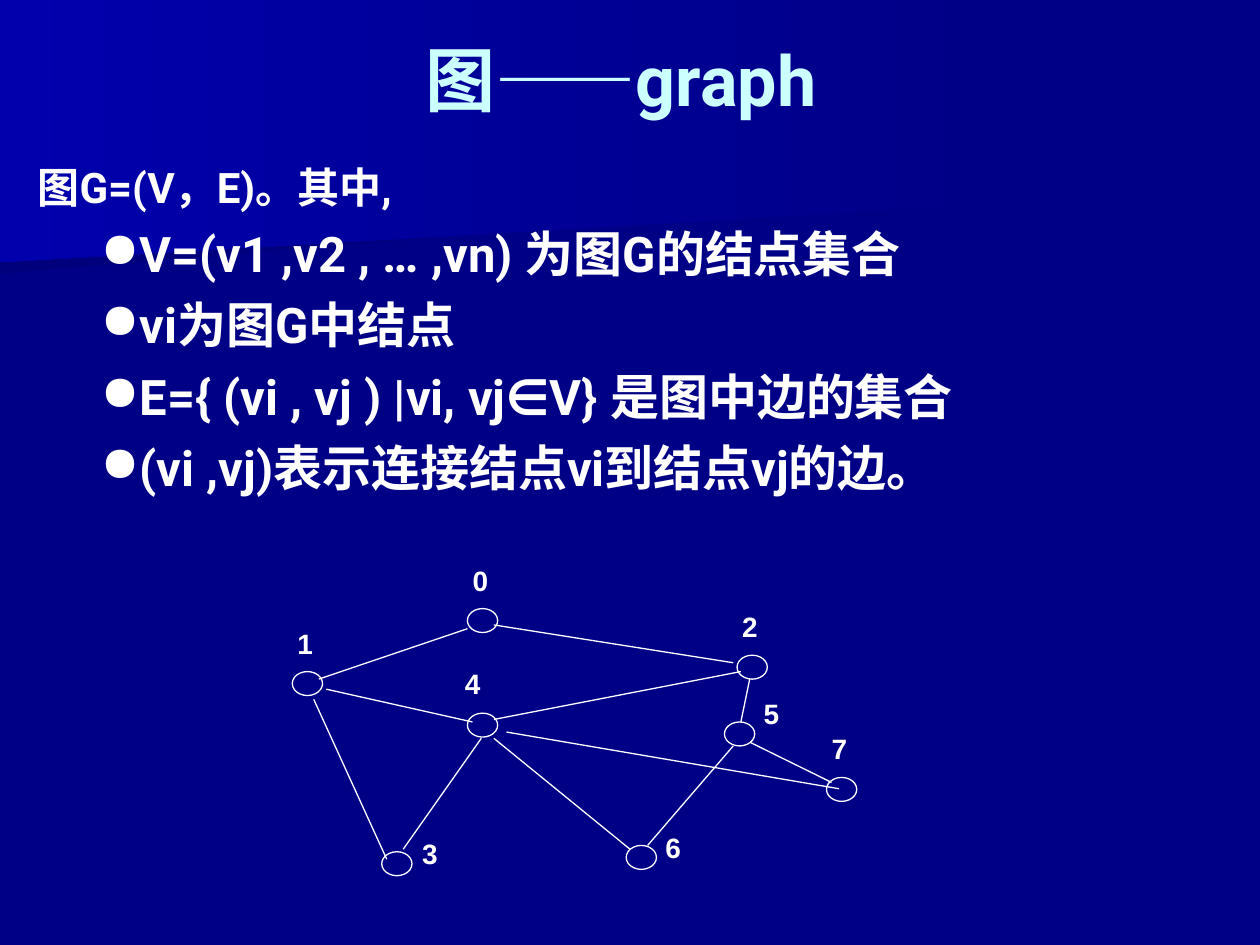
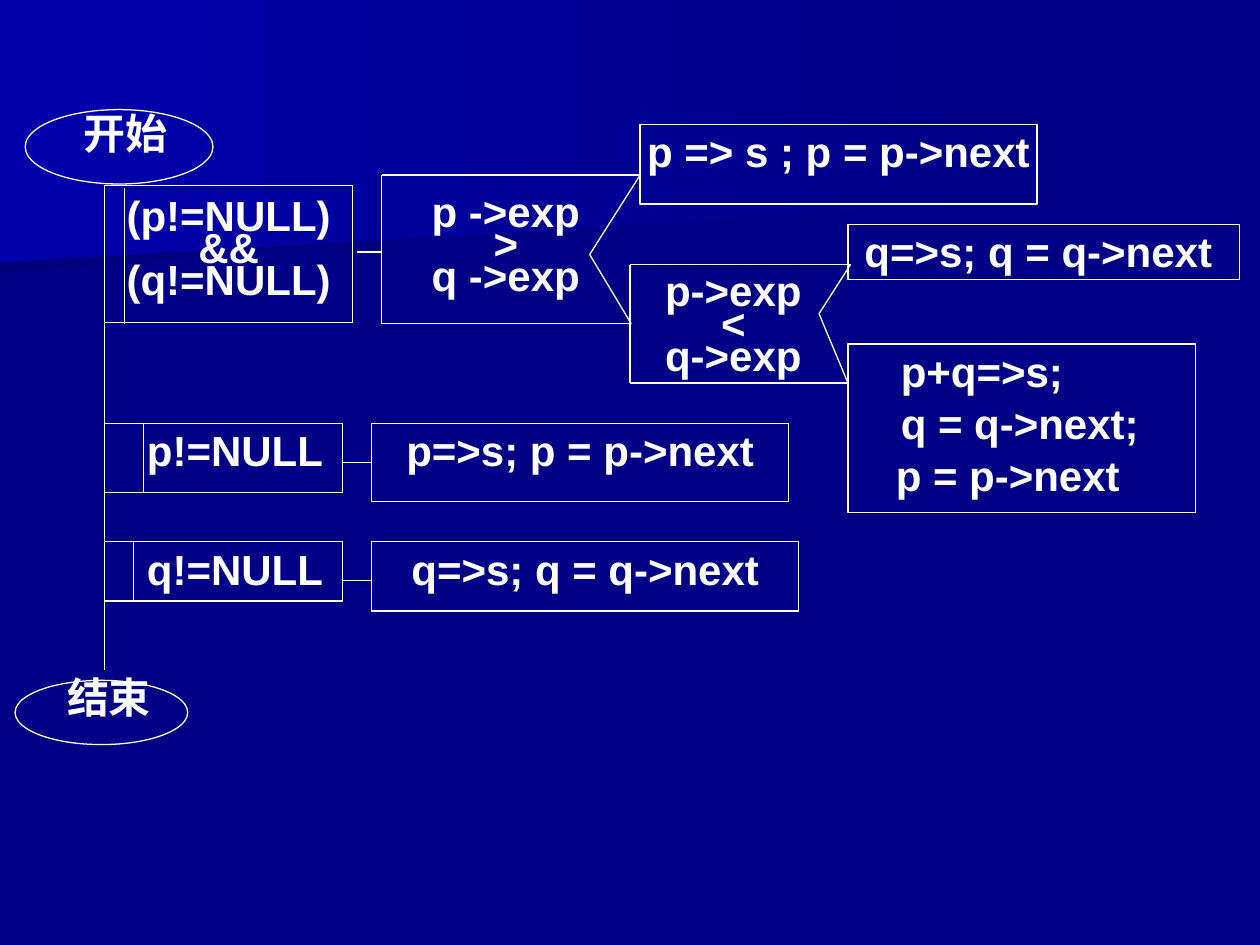
from dataclasses import dataclass

from lxml.etree import SubElement
from pptx import Presentation
from pptx.dml.color import RGBColor
from pptx.enum.shapes import MSO_CONNECTOR, MSO_SHAPE
from pptx.enum.text import MSO_ANCHOR, PP_ALIGN
from pptx.oxml.ns import qn
from pptx.slide import Slide
from pptx.text.text import _Paragraph as Paragraph
from pptx.util import Emu, Pt

PX = 9144
NAVY = RGBColor(0x00, 0x00, 0x86)
DARK_NAVY = RGBColor(0x00, 0x00, 0x7D)
ROYAL = RGBColor(0x00, 0x00, 0xAC)
WHITE = RGBColor(0xFF, 0xFF, 0xFF)
PALE_CYAN = RGBColor(0xCC, 0xFF, 0xFF)
NODE_WIDTH, NODE_HEIGHT = 24, 19
LABEL_WIDTH, LABEL_HEIGHT = 61, 43

Point = tuple[int, int]
Segment = tuple[int, int, int, int]


@dataclass(frozen=True)
class Band:
    points: tuple[Point, ...]
    left_color: RGBColor


@dataclass(frozen=True)
class TextStyle:
    size: int = 24
    font: str = "Arial"
    color: RGBColor = WHITE
    align: PP_ALIGN = PP_ALIGN.CENTER
    anchor: MSO_ANCHOR = MSO_ANCHOR.TOP
    spacing: float | None = None
    inset_x: int = 1
    inset_y: int = 1


@dataclass(frozen=True)
class Block:
    left: int
    top: int
    width: int
    height: int
    lines: tuple[str, ...]
    style: TextStyle = TextStyle()
    outlined: bool = True
    pad_left: int = 0
    pad_right: int = 0


@dataclass(frozen=True)
class Node:
    label: str
    left: int
    top: int
    label_dx: int = 3
    label_dy: int = -37


@dataclass(frozen=True)
class Branch:
    left: int
    top: int
    bottom: int
    upper_right: int
    lower_right: int
    notch: Point


BANDS = (
    Band(((778, 153), (0, 217), (0, 101), (779, 101), (778, 128)), DARK_NAVY),
    Band(((792, 162), (0, 208), (0, 0), (792, 0)), ROYAL),
)

PLAIN = TextStyle()
TIGHT = TextStyle(spacing=0.64)
TIGHT_MIDDLE = TextStyle(spacing=0.64, anchor=MSO_ANCHOR.MIDDLE)
LEFT = TextStyle(align=PP_ALIGN.LEFT)
NODE_LABEL = TextStyle(size=16, align=PP_ALIGN.LEFT)
TITLE = TextStyle(40, "Roboto", PALE_CYAN, anchor=MSO_ANCHOR.MIDDLE, inset_x=10, inset_y=5)
BODY = TextStyle(24, "Roboto", align=PP_ALIGN.LEFT, inset_x=10, inset_y=5)

GRAPH_TITLE = Block(43, 0, 900, 125, ("图——graph",), TITLE, False)
DEFINITION = Block(
    20, 123, 945, 331,
    (
        "图G=(V，E)。其中,",
        "V=(v1 ,v2 , … ,vn) 为图G的结点集合",
        "vi为图G中结点",
        "E={ (vi , vj ) |vi, vj∈V} 是图中边的集合",
        "(vi ,vj)表示连接结点vi到结点vj的边。",
    ),
    BODY, False,
)
NODES = (
    Node("0", 371, 483),
    Node("4", 371, 566, -3, -38),
    Node("3", 303, 676, 31, -13),
    Node("1", 232, 533),
    Node("6", 497, 671, 30, -13),
    Node("7", 656, 617),
    Node("5", 575, 573, 30, -21),
    Node("2", 585, 520),
)
EDGES: tuple[Segment, ...] = (
    (371, 499, 253, 539),
    (392, 496, 582, 526),
    (259, 547, 375, 573),
    (249, 555, 307, 682),
    (320, 674, 382, 586),
    (392, 571, 588, 533),
    (402, 581, 666, 626),
    (392, 586, 500, 674),
    (582, 592, 514, 671),
    (595, 539, 588, 573),
    (595, 589, 660, 621),
)

TERMINALS: tuple[Segment, ...] = ((20, 87, 149, 59), (12, 540, 137, 51))
MERGE_BOTH = Block(673, 273, 276, 134, ("p+q=>s;", "q = q->next;", "p = p->next"), LEFT)
MERGE_INDENTS = (41, 41, 37)
FLOW_BLOCKS = (
    Block(30, 84, 139, 63, ("开始",), outlined=False),
    Block(12, 532, 149, 63, ("结束",), outlined=False),
    Block(508, 99, 315, 63, ("p => s ; p = p->next",)),
    Block(673, 178, 311, 44, ("q=>s; q = q->next",), pad_right=9),
    Block(83, 147, 197, 109, ("(p!=NULL)", "&&", "(q!=NULL)"), TIGHT_MIDDLE),
    Block(303, 159, 197, 82, ("p ->exp", ">", "q ->exp"), TIGHT, False),
    Block(508, 222, 148, 71, ("p->exp", "<", "q->exp"), TIGHT, False),
    Block(83, 336, 189, 55, ("p!=NULL",), pad_left=18),
    Block(83, 430, 189, 47, ("q!=NULL",), pad_left=18),
    Block(295, 336, 331, 62, ("p=>s; p = p->next",)),
    Block(295, 430, 339, 55, ("q=>s; q = q->next",)),
)
FLOW_LINES: tuple[Segment, ...] = (
    (83, 147, 83, 532),
    (99, 149, 99, 257),
    (283, 200, 303, 200),
    (114, 336, 114, 391),
    (106, 430, 106, 477),
    (272, 367, 295, 367),
    (272, 461, 295, 461),
)
BRANCHES = (
    Branch(303, 139, 257, 508, 501, (468, 202)),
    Branch(500, 210, 304, 675, 673, (650, 249)),
)


def px(length: int) -> Emu:
    """Turn px into EMU."""
    return Emu(length * PX)


def add_backdrop(slide: Slide) -> None:
    """Paint the navy background and its two gradient bands."""
    slide.background.fill.solid()
    slide.background.fill.fore_color.rgb = NAVY
    for band in BANDS:
        builder = slide.shapes.build_freeform(*band.points[0], scale=PX)
        builder.add_line_segments(band.points[1:], close=True)
        sweep = builder.convert_to_shape()
        sweep.shadow.inherit = False
        sweep.line.fill.background()
        sweep.fill.gradient()
        sweep.fill.gradient_angle = 180
        for stop, color in zip(sweep.fill.gradient_stops, (NAVY, band.left_color)):
            stop.color.rgb = color


def add_outline(slide: Slide, preset: MSO_SHAPE, left: int, top: int, width: int, height: int):
    """Add an unfilled preset shape with a thin white line."""
    outline = slide.shapes.add_shape(preset, px(left), px(top), px(width), px(height))
    outline.shadow.inherit = False
    outline.fill.background()
    outline.line.color.rgb = WHITE
    outline.line.width = Pt(0.75)
    return outline


def add_segments(slide: Slide, segments: tuple[Segment, ...]) -> None:
    """Draw thin white straight lines."""
    for segment in segments:
        stroke = slide.shapes.add_connector(MSO_CONNECTOR.STRAIGHT, *map(px, segment))
        stroke.line.color.rgb = WHITE
        stroke.line.width = Pt(0.75)
        SubElement(stroke._element.spPr, qn("a:effectLst"))


def add_block(slide: Slide, block: Block) -> list[Paragraph]:
    """Add a text block and return its paragraphs."""
    area = (block.left, block.top, block.width, block.height)
    if block.outlined:
        holder = add_outline(slide, MSO_SHAPE.RECTANGLE, *area)
    else:
        holder = slide.shapes.add_textbox(*map(px, area))
    style, frame = block.style, holder.text_frame
    frame.word_wrap = True
    frame.vertical_anchor = style.anchor
    frame.margin_left = px(style.inset_x + block.pad_left)
    frame.margin_right = px(style.inset_x + block.pad_right)
    frame.margin_top = frame.margin_bottom = px(style.inset_y)
    frame.text = "\n".join(block.lines)
    for paragraph in frame.paragraphs:
        paragraph.alignment = style.align
        if style.spacing:
            paragraph.line_spacing = style.spacing
        paragraph.font.size = Pt(style.size)
        paragraph.font.name = style.font
        paragraph.font.bold = True
        paragraph.font.color.rgb = style.color
    return list(frame.paragraphs)


def indent(paragraph: Paragraph, margin: int, hanging: int = 0) -> None:
    """Set the left margin and hanging indent of a paragraph."""
    properties = paragraph._p.get_or_add_pPr()
    properties.set("marL", str(px(margin)))
    properties.set("indent", str(px(-hanging)))


def add_bullet(paragraph: Paragraph) -> None:
    """Give a paragraph a round white bullet ahead of its font settings."""
    properties = paragraph._p.get_or_add_pPr()
    bullet_color = SubElement(properties, qn("a:buClr"))
    SubElement(bullet_color, qn("a:srgbClr")).set("val", str(WHITE))
    bullet = SubElement(properties, qn("a:buChar"))
    bullet.set("char", "●")
    font_defaults = properties.find(qn("a:defRPr"))
    properties.remove(font_defaults)
    properties.append(font_defaults)


def add_node(slide: Slide, node: Node) -> None:
    """Draw a graph node with its number."""
    add_outline(slide, MSO_SHAPE.OVAL, node.left, node.top, NODE_WIDTH, NODE_HEIGHT)
    add_block(slide, Block(node.left + node.label_dx, node.top + node.label_dy,
                           LABEL_WIDTH, LABEL_HEIGHT, (node.label,), NODE_LABEL, False))


def add_branch(slide: Slide, branch: Branch) -> None:
    """Draw a condition frame whose right side is notched."""
    left, top, bottom = branch.left, branch.top, branch.bottom
    add_segments(slide, (
        (left, top, branch.upper_right, top),
        (branch.upper_right, top, *branch.notch),
        (left, bottom, branch.lower_right, bottom),
        (branch.lower_right, bottom, *branch.notch),
        (left, top, left, bottom),
    ))


def build_graph_slide(slide: Slide) -> None:
    """Define a graph and show an example."""
    add_backdrop(slide)
    intro, *facts = add_block(slide, DEFINITION)
    indent(intro, 38, 38)
    for fact in facts:
        indent(fact, 81, 31)
        fact.space_before = Pt(7)
        fact.font.size = Pt(28)
        add_bullet(fact)
    for node in NODES:
        add_node(slide, node)
    add_segments(slide, EDGES)
    add_block(slide, GRAPH_TITLE)


def build_merge_slide(slide: Slide) -> None:
    """Chart the merging of two linked lists."""
    add_backdrop(slide)
    for terminal in TERMINALS:
        add_outline(slide, MSO_SHAPE.OVAL, *terminal)
    for block in FLOW_BLOCKS:
        add_block(slide, block)
    steps = add_block(slide, MERGE_BOTH)
    for step, margin in zip(steps, MERGE_INDENTS):
        indent(step, margin)
    for step in steps[1:]:
        step.space_before = Pt(1)
    add_segments(slide, FLOW_LINES)
    for branch in BRANCHES:
        add_branch(slide, branch)


def main() -> None:
    """Build and save the presentation."""
    deck = Presentation()
    deck.slide_width, deck.slide_height = px(1000), px(750)
    for build in (build_graph_slide, build_merge_slide):
        build(deck.slides.add_slide(deck.slide_layouts[6]))
    deck.save("out.pptx")


if __name__ == "__main__":
    main()
